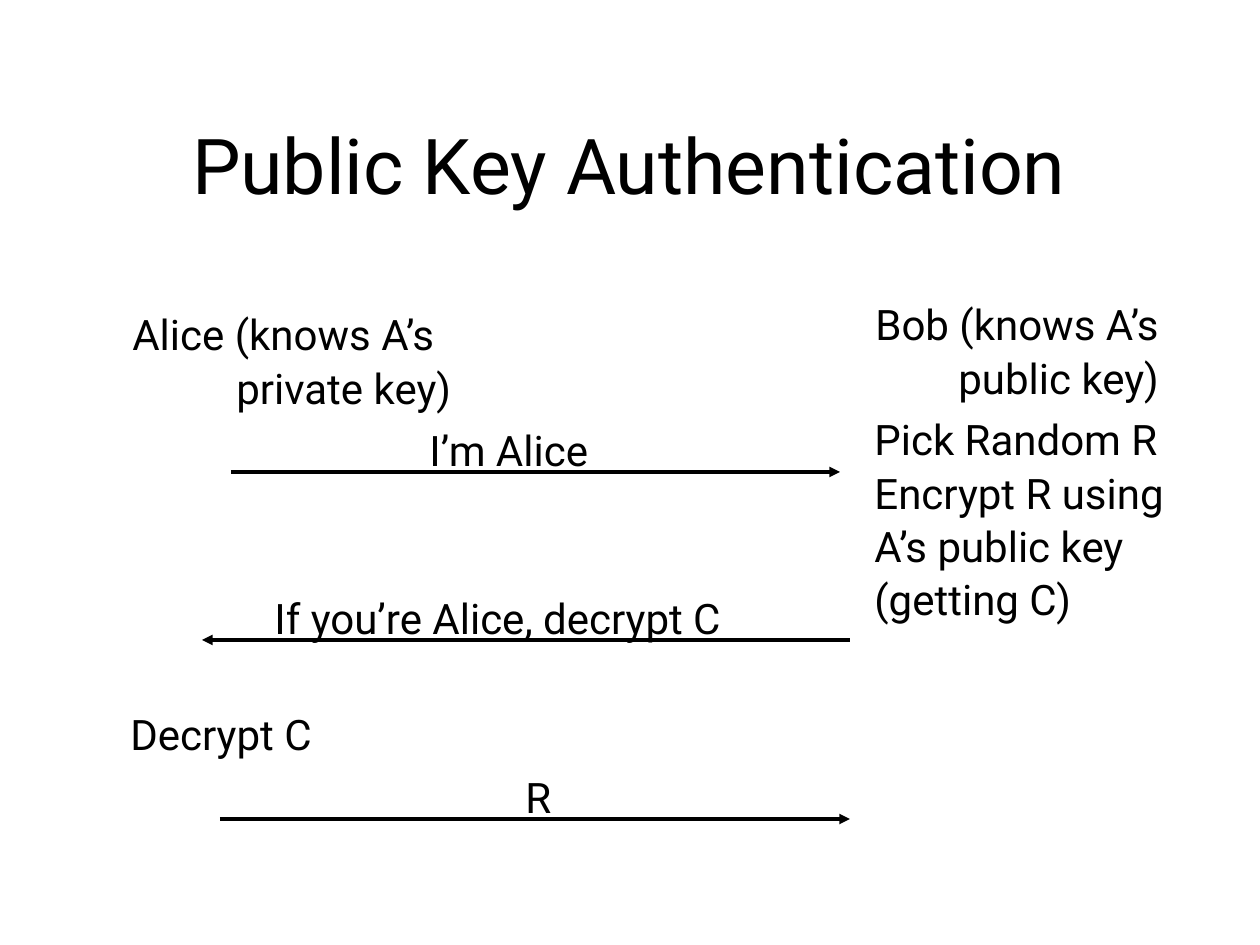
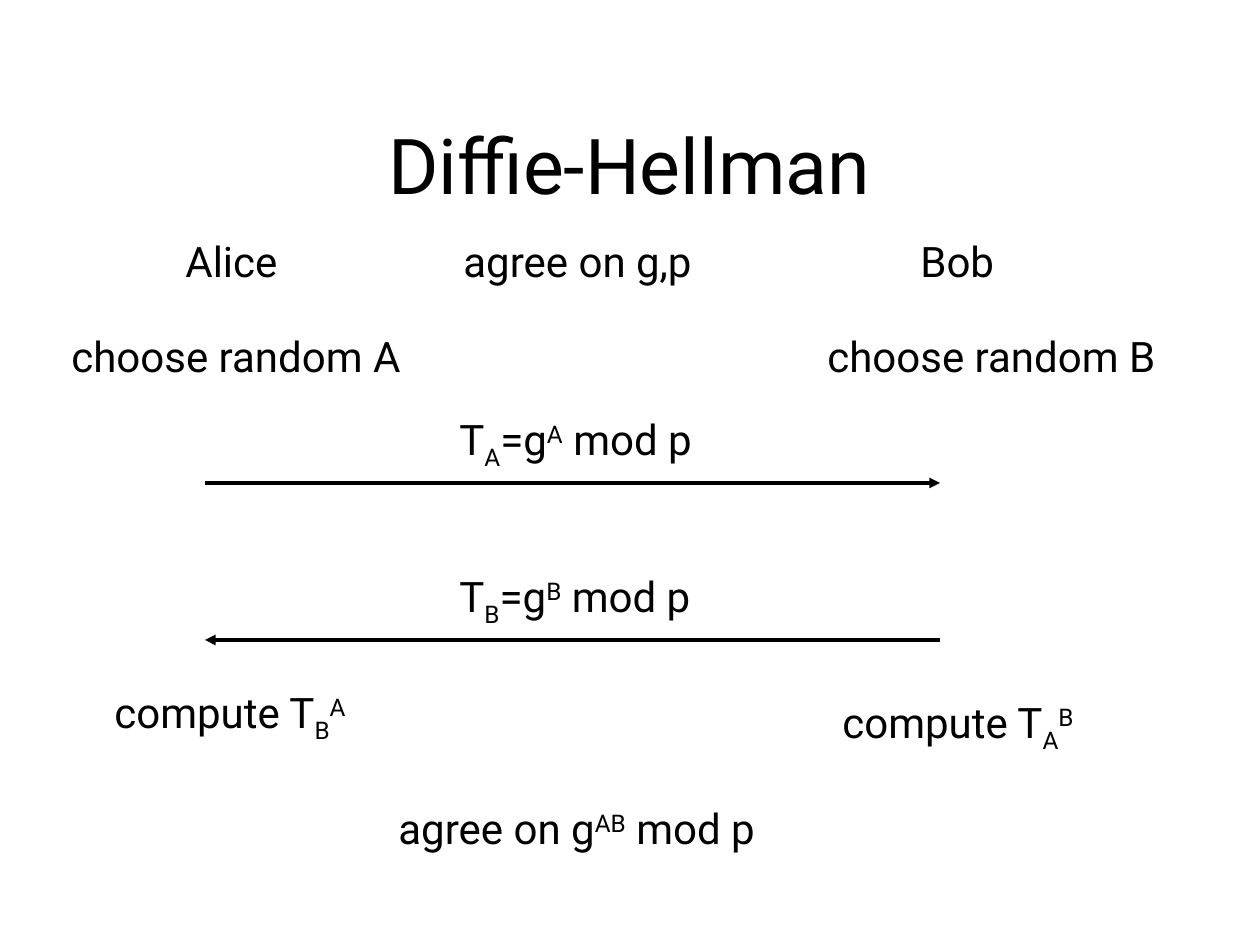
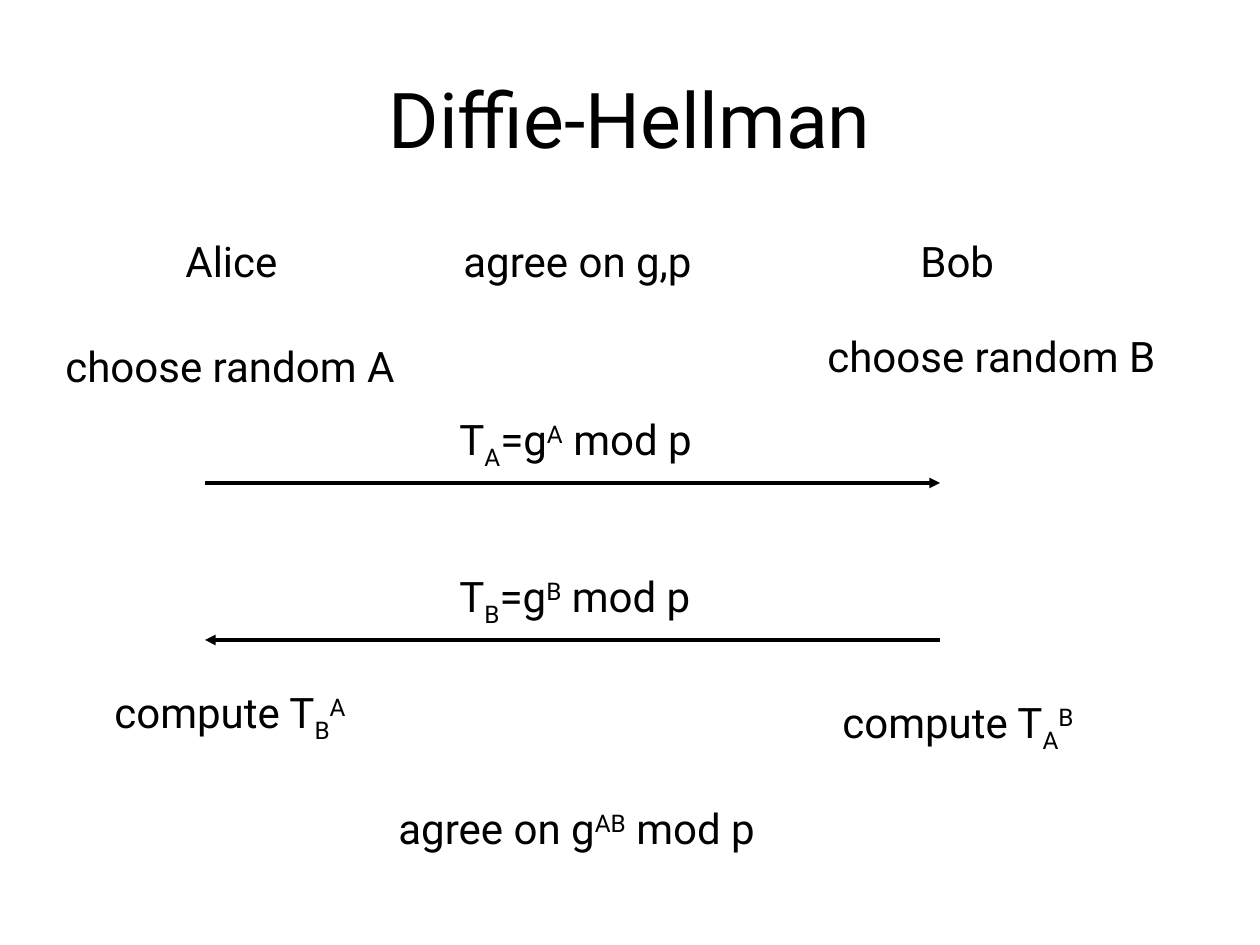
import dataclasses

import pptx
import pptx.dml.color
import pptx.enum.shapes
import pptx.enum.text
import pptx.oxml.ns
import pptx.util
from lxml import etree

EMU_PER_PIXEL = 914400 / 126
SUB, SUP = -25, 30


@dataclasses.dataclass(frozen=True)
class Theme:
    font: str = "Roboto"
    ink: str = "000000"
    paper: str = "FFFFFF"
    title_size: int = 44
    body_size: int = 24
    arrow_width: int = 2
    first_spacing: float = 1.01
    next_spacing: float = 1.06


def px(pixels):
    return pptx.util.Emu(round(pixels * EMU_PER_PIXEL))


def rgb(colour):
    return pptx.dml.color.RGBColor.from_string(colour)


class Deck:
    """Holds the shared style and the slide being drawn."""

    def __init__(self, theme):
        self.theme = theme
        self.presentation = pptx.Presentation()
        self.presentation.slide_width = px(1260)
        self.presentation.slide_height = px(945)
        self.slide = None

    def new_slide(self, title, left, top, width):
        self.slide = self.presentation.slides.add_slide(self.presentation.slide_layouts[6])
        fill = self.slide.background.fill
        fill.solid()
        fill.fore_color.rgb = rgb(self.theme.paper)
        heading = self.slide.shapes.add_textbox(px(left), px(top), px(width), px(158)).text_frame
        heading.word_wrap = True
        heading.vertical_anchor = pptx.enum.text.MSO_ANCHOR.MIDDLE
        heading.text = title
        heading.paragraphs[0].alignment = pptx.enum.text.PP_ALIGN.CENTER
        self.style(heading, self.theme.title_size)

    def style(self, frame, size):
        for index, paragraph in enumerate(frame.paragraphs):
            paragraph.line_spacing = self.theme.next_spacing if index else self.theme.first_spacing
            for run in paragraph.runs:
                run.font.name = self.theme.font
                run.font.size = pptx.util.Pt(size)
                run.font.color.rgb = rgb(self.theme.ink)

    def label(self, text, left, top, width, height=64, indent=0):
        frame = self.slide.shapes.add_textbox(px(left), px(top), px(width), px(height)).text_frame
        frame.word_wrap = False
        frame.auto_size = pptx.enum.text.MSO_AUTO_SIZE.SHAPE_TO_FIT_TEXT
        frame.text = text
        for paragraph in frame.paragraphs[1:]:
            paragraph._p.get_or_add_pPr().set("marL", str(px(indent)))
        self.style(frame, self.theme.body_size)
        return frame

    def formula(self, start, parts, left, top, width, height=71):
        frame = self.label(start, left, top, width, height)
        for text, baseline in parts:
            run = frame.paragraphs[0].add_run()
            run.text = text
            if baseline:
                run._r.get_or_add_rPr().set("baseline", str(baseline * 1000))
        self.style(frame, self.theme.body_size)

    def arrow(self, start, end, y):
        message = self.slide.shapes.add_connector(
            pptx.enum.shapes.MSO_CONNECTOR.STRAIGHT, px(start), px(y), px(end), px(y))
        message.line.color.rgb = rgb(self.theme.ink)
        message.line.width = pptx.util.Pt(self.theme.arrow_width)
        etree.SubElement(message.line._get_or_add_ln(), pptx.oxml.ns.qn("a:tailEnd"), type="triangle")
        etree.SubElement(message._element.spPr, pptx.oxml.ns.qn("a:effectLst"))


def public_key_slide(deck):
    deck.new_slide("Public Key Authentication", 94, 84, 1071)
    deck.label("Alice (knows A’s\nprivate key)", 120, 302, 364, 117, indent=104)
    deck.label("Bob (knows A’s\npublic key)", 863, 292, 324, 117, indent=83)
    deck.arrow(231, 840, 472)
    deck.label("I’m Alice", 417, 418, 233)
    deck.label("Pick Random R\nEncrypt R using\nA’s public key\n(getting C)", 862, 407, 331, 224)
    deck.arrow(850, 202, 640)
    deck.label("If you’re Alice, decrypt C", 262, 586, 499)
    deck.arrow(220, 850, 819)
    deck.label("R", 513, 765, 52)
    deck.label("Decrypt C", 118, 702, 217)


def diffie_hellman_slide(deck, title_box, choice_left, choice_top):
    deck.new_slide("Diffie-Hellman", *title_box)
    for text, left, width in (("Alice", 173, 118), ("agree on g,p", 451, 276), ("Bob", 908, 105)):
        deck.label(text, left, 229, width)
    deck.label("choose random A", choice_left, choice_top, 372)
    deck.label("choose random B", 815, 324, 373)
    for party, start, end, y in (("A", 205, 940, 483), ("B", 940, 205, 640)):
        deck.arrow(start, end, y)
        deck.formula("T", [(party, SUB), ("=g", 0), (party, SUP), (" mod p", 0)], 447, y - 76, 268)
    for other, own, left, top in (("B", "A", 102, 680), ("A", "B", 830, 690)):
        deck.formula("compute T", [(other, SUB), (own, SUP)], left, top, 267)
    deck.formula("agree on g", [("AB", SUP), (" mod p", 0)], 386, 796, 408, 64)


deck = Deck(Theme())
public_key_slide(deck)
diffie_hellman_slide(deck, (94, 84, 1071), 59, 324)
diffie_hellman_slide(deck, (63, 38, 1134), 53, 334)
deck.presentation.save("out.pptx")
